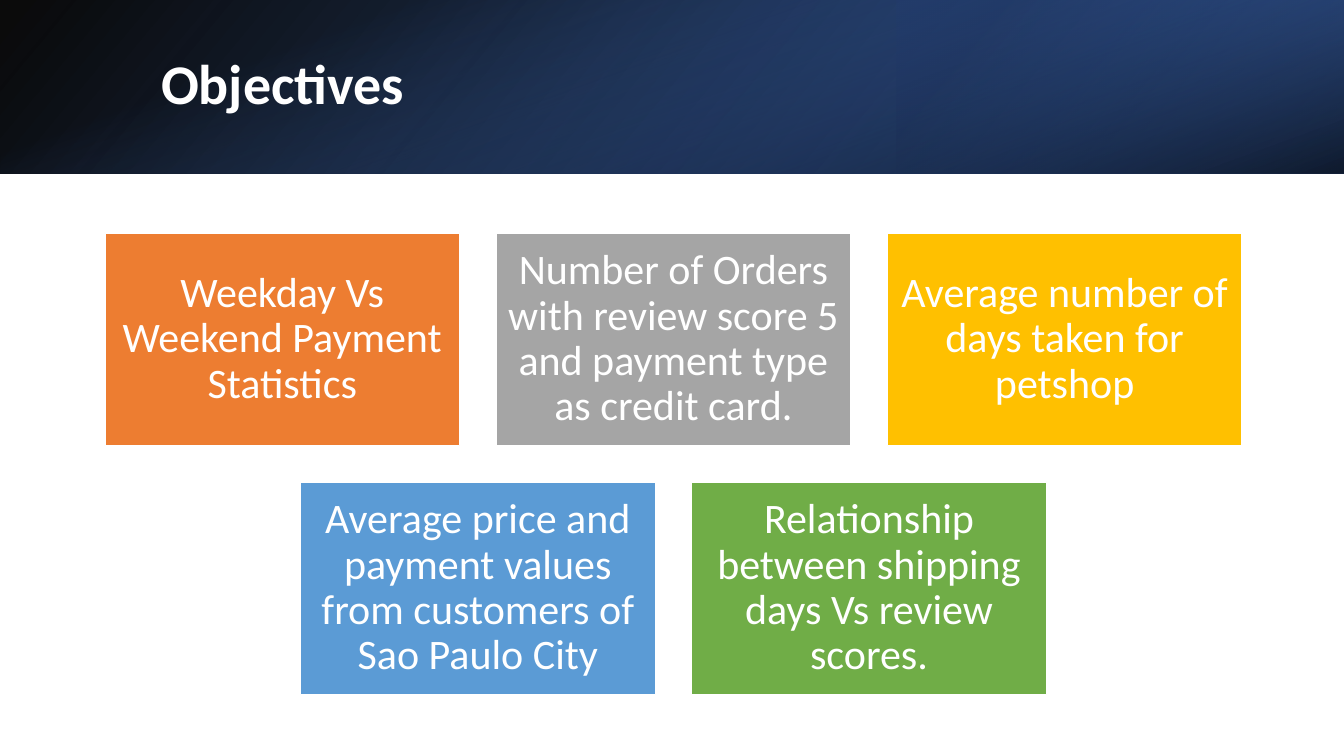
from pptx import Presentation
from pptx.dml.color import RGBColor
from pptx.enum import shapes, text
from pptx.oxml import xmlchemy
from pptx.util import Inches, Pt


def rgb(color):
    return RGBColor.from_string(color)


class Deck:
    font = "Calibri"
    ink = "FFFFFF"

    def __init__(self, width, height):
        self.prs = Presentation()
        self.prs.slide_width = Inches(width)
        self.prs.slide_height = Inches(height)
        self.s = self.prs.slides.add_slide(self.prs.slide_layouts[6])

    def rect(self, *box):
        sp = self.s.shapes.add_shape(shapes.MSO_SHAPE.RECTANGLE, *map(Inches, box))
        sp.shadow.inherit = False
        return sp

    def gradient(self, box, stops, angle, rotation=0, flip=False):
        sp = self.rect(*box)
        sp.line.fill.background()
        sp.rotation = rotation
        if flip:
            sp._element.spPr.xfrm.set("flipH", "1")
        sp.fill.gradient()
        sp.fill.gradient_angle = 360 - angle
        for stop, (position, color, _) in zip(sp.fill.gradient_stops, stops):
            stop.position = position
            stop.color.rgb = rgb(color)
        colors = sp._element.spPr.xpath("./a:gradFill//a:srgbClr")
        for clr, (_, _, opacity) in zip(colors, stops):
            alpha = xmlchemy.OxmlElement("a:alpha")
            alpha.set("val", str(opacity * 1000))
            clr.append(alpha)

    def label(self, sp, words, size, bold=False, align=text.PP_ALIGN.LEFT):
        tf = sp.text_frame
        tf.word_wrap = True
        tf.vertical_anchor = text.MSO_ANCHOR.MIDDLE
        p = tf.paragraphs[0]
        p.text = words
        p.alignment = align
        p.line_spacing = 0.9
        p.font.name = self.font
        p.font.size = Pt(size)
        p.font.bold = bold
        p.font.color.rgb = rgb(self.ink)
        return tf

    def title(self, box, words):
        self.label(self.s.shapes.add_textbox(*map(Inches, box)), words, 40, bold=True)

    def card(self, box, words, color):
        sp = self.rect(*box)
        sp.fill.solid()
        sp.fill.fore_color.rgb = rgb(color)
        sp.line.color.rgb = rgb(self.ink)
        sp.line.width = Pt(1)
        tf = self.label(sp, words, 30, align=text.PP_ALIGN.CENTER)
        tf.margin_left = tf.margin_right = Inches(0.12)
        tf.margin_top = tf.margin_bottom = Inches(0.12)


WIDTH, BANNER = 13.33, 1.72
CARD_W, CARD_H, GAP = 3.52, 2.11, 0.36
CENTER, TOP = 6.68, 2.31

ROWS = [
    [
        ("Weekday Vs Weekend Payment Statistics", "ED7D31"),
        ("Number of Orders with review score 5 and payment type as credit card.", "A5A5A5"),
        ("Average number of days taken for petshop", "FFC000"),
    ],
    [
        ("Average price and payment values from customers of Sao Paulo City", "5B9BD5"),
        ("Relationship between shipping days Vs review scores.", "70AD47"),
    ],
]


def main():
    deck = Deck(WIDTH, 7.5)
    deck.gradient((0, 0, WIDTH, BANNER),
                  [(0, "000000", 96), (1, "2F5597", 100)], 140, flip=True)
    deck.gradient((8.89, 0, 4.44, BANNER),
                  [(0.19, "203864", 68), (1, "4472C4", 79)], 320, rotation=180, flip=True)
    offset = (WIDTH - BANNER) / 2
    deck.gradient((offset, -offset, BANNER, WIDTH),
                  [(0.23, "4472C4", 0), (0.99, "000000", 74)], 340, rotation=90)
    deck.title((1.5, 0.38, 10.98, 0.96), "Objectives")
    for i, row in enumerate(ROWS):
        left = CENTER - (len(row) * (CARD_W + GAP) - GAP) / 2
        for j, (words, color) in enumerate(row):
            box = (left + j * (CARD_W + GAP), TOP + i * (CARD_H + GAP), CARD_W, CARD_H)
            deck.card(box, words, color)
    deck.prs.save("out.pptx")


if __name__ == "__main__":
    main()
